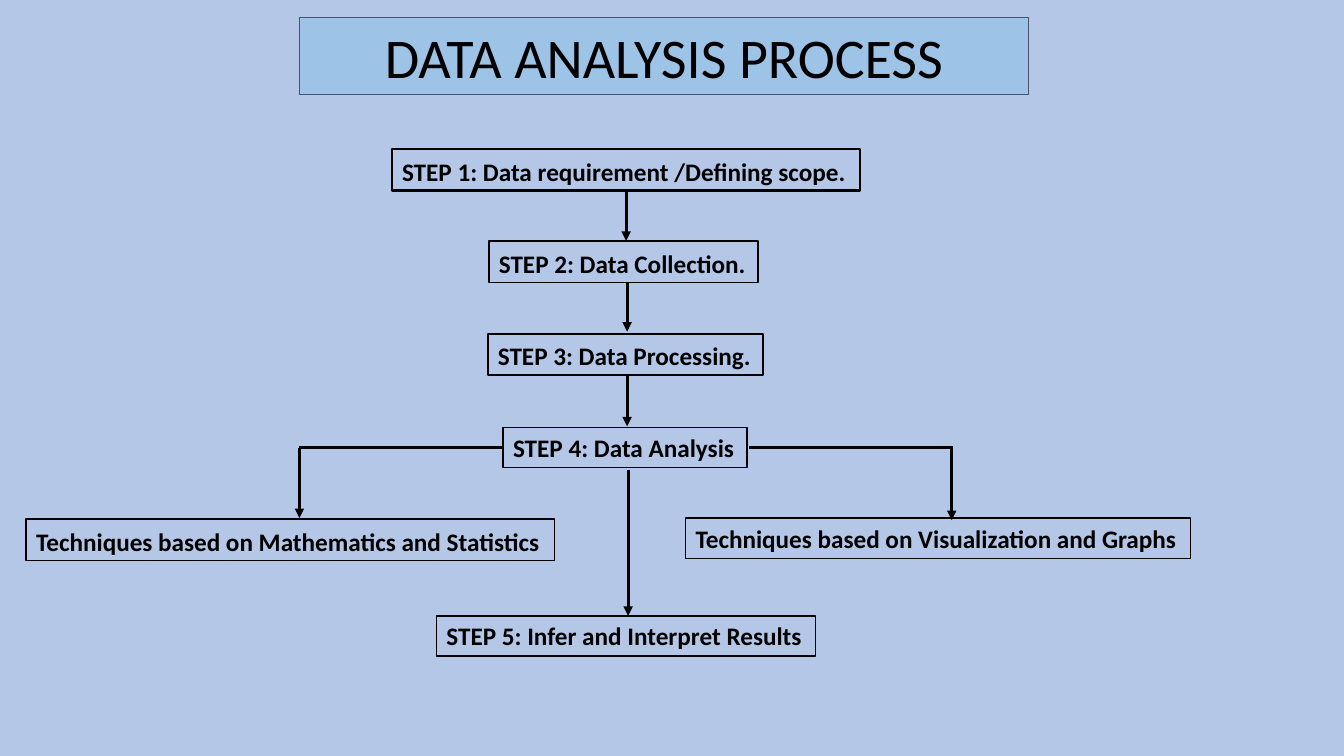
from lxml import etree
from pptx import Presentation
from pptx.dml.color import RGBColor
from pptx.enum.shapes import MSO_CONNECTOR as CONN
from pptx.enum.text import MSO_AUTO_SIZE as AUTO, PP_ALIGN as ALIGN
from pptx.oxml.ns import qn
from pptx.util import Emu, Pt

PX = 9144
BLACK = "000000"


def color(value):
    return RGBColor.from_string(value)


def add_box(x, y, w, h, text, line, font, wrap=False, spaced=False):
    sp = s.shapes.add_textbox(*(Emu(v * PX) for v in (x, y, w, h)))
    sp.line.color.rgb = color(line[0])
    sp.line.width = Pt(line[1])
    tf = sp.text_frame
    tf.word_wrap = wrap
    tf.auto_size = AUTO.SHAPE_TO_FIT_TEXT
    p = tf.paragraphs[0]
    if spaced:
        p.line_spacing = 1.07
        p.space_after = Pt(8)
    r = p.add_run()
    r.text = text
    for name, value in font.items():
        setattr(r.font, name, value)
    r.font.color.rgb = color(BLACK)
    return sp


prs = Presentation()
prs.slide_width, prs.slide_height = Emu(1333 * PX), Emu(750 * PX)
s = prs.slides.add_slide(prs.slide_layouts[6])
s.background.fill.solid()
s.background.fill.fore_color.rgb = color("B4C7E7")

title = add_box(297, 17, 723, 77, "DATA ANALYSIS PROCESS", ("44546A", 0.75),
                {"name": "Calibri", "size": Pt(40)}, wrap=True)
title.fill.solid()
title.fill.fore_color.rgb = color("9DC3E6")
title.text_frame.paragraphs[0].alignment = ALIGN.CENTER

step_font = {"name": "Calibri", "size": Pt(18), "bold": True}
steps = [
    (389, 148, 464, 41, "STEP 1: Data requirement /Defining scope.", 1.5, True),
    (485, 239, 267, 41, "STEP 2: Data Collection.", 1, True),
    (484, 331, 273, 41, "STEP 3: Data Processing.", 1.5, True),
    (499, 424, 242, 40, "STEP 4: Data Analysis", 1, False),
    (433, 611, 376, 40, "STEP 5: Infer and Interpret Results", 1, False),
    (26, 515, 524, 41, "Techniques based on Mathematics and Statistics", 1, True),
    (680, 514, 501, 40, "Techniques based on Visualization and Graphs", 1, False),
]
for x, y, w, h, text, width, spaced in steps:
    add_box(x, y, w, h, text, (BLACK, width), step_font, spaced=spaced)

lines = [
    (621, 189, 621, 239, True),
    (622, 280, 622, 329, True),
    (622, 373, 622, 423, True),
    (499, 444, 297, 444, False),
    (297, 444, 297, 514, True),
    (945, 444, 743, 444, False),
    (944, 445, 944, 516, True),
    (623, 466, 623, 611, True),
]
for x1, y1, x2, y2, arrow in lines:
    cn = s.shapes.add_connector(CONN.STRAIGHT, *(Emu(v * PX) for v in (x1, y1, x2, y2)))
    cn.line.color.rgb = color(BLACK)
    cn.line.width = Pt(2.25)
    if arrow:
        etree.SubElement(cn.line._get_or_add_ln(), qn("a:tailEnd"), type="triangle")
    etree.SubElement(cn._element.spPr, qn("a:effectLst"))

prs.save("out.pptx")
